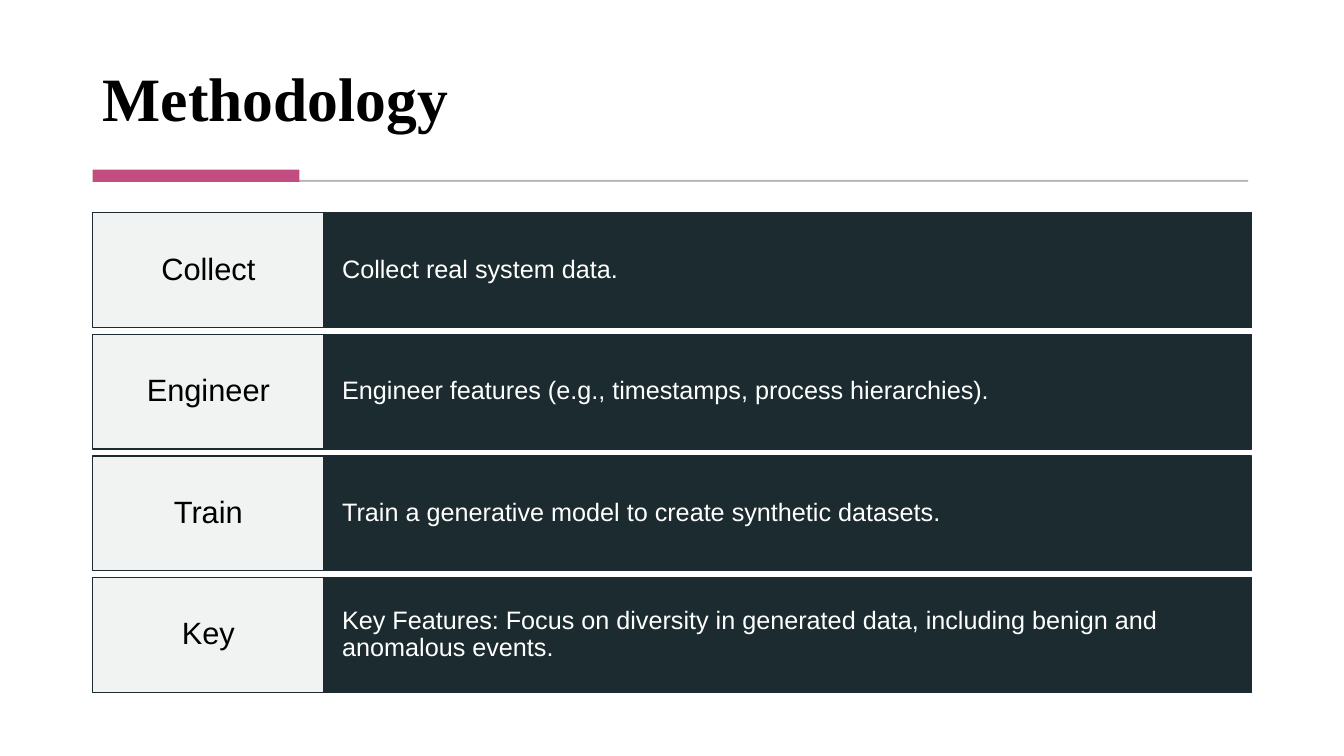
"""Build the Methodology slide: a title, an accent rule and four labelled steps."""
from lxml import etree
from pptx import Presentation
from pptx import util as u
from pptx.dml.color import RGBColor
from pptx.enum import shapes, text
from pptx.oxml.ns import qn

BLACK = RGBColor(0x00, 0x00, 0x00)
WHITE = RGBColor(0xFF, 0xFF, 0xFF)
GRAY = RGBColor(0x59, 0x59, 0x59)
PINK = RGBColor(0xC3, 0x4D, 0x80)
DARK = RGBColor(0x1B, 0x2B, 0x30)
LIGHT = RGBColor(0xF0, 0xF3, 0xF2)

LEFT = 66.24
LABEL_WIDTH = 165.2
DETAIL_WIDTH = 662.4
STEP_TOP = 151.92
STEP_HEIGHT = 82.08
STEP_PITCH = 86.85

STEPS = [
    ("Collect", "Collect real system data."),
    ("Engineer", "Engineer features (e.g., timestamps, process hierarchies)."),
    ("Train", "Train a generative model to create synthetic datasets."),
    ("Key", "Key Features: Focus on diversity in generated data, including benign and anomalous events."),
]
LABEL_FONT = {"name": "Arial", "size": u.Pt(22)}
DETAIL_FONT = {"name": "Arial", "size": u.Pt(18)}
TITLE_FONT = {"name": "Times New Roman", "size": u.Pt(44), "bold": True}

presentation = Presentation()
presentation.slide_width = u.Pt(960)
presentation.slide_height = u.Pt(540)
slide = presentation.slides.add_slide(presentation.slide_layouts[6])


def add_rectangle(left, top, width, height, fill, line=None, line_width=1):
    """Draw a flat rectangle, outlined only when a line colour is given."""
    shape = slide.shapes.add_shape(
        shapes.MSO_SHAPE.RECTANGLE, u.Pt(left), u.Pt(top), u.Pt(width), u.Pt(height))
    shape.shadow.inherit = False
    shape.fill.solid()
    shape.fill.fore_color.rgb = fill
    if line is None:
        shape.line.fill.background()
    else:
        shape.line.color.rgb = line
        shape.line.width = u.Pt(line_width)
    return shape


def write_text(shape, words, anchor, alignment, margins, color, font_values):
    """Put one formatted paragraph into a shape."""
    frame = shape.text_frame
    frame.word_wrap = True
    frame.vertical_anchor = anchor
    frame.margin_left = frame.margin_right = u.Pt(margins[0])
    frame.margin_top = frame.margin_bottom = u.Pt(margins[1])
    paragraph = frame.paragraphs[0]
    paragraph.alignment = alignment
    paragraph.line_spacing = 0.9
    run = paragraph.add_run()
    run.text = words
    run.font.color.rgb = color
    for name, value in font_values.items():
        setattr(run.font, name, value)


title = slide.shapes.add_textbox(u.Pt(LEFT), u.Pt(20.16), u.Pt(827.28), u.Pt(79.92))
write_text(title, "Methodology", text.MSO_ANCHOR.BOTTOM, text.PP_ALIGN.LEFT,
           (7.2, 3.6), BLACK, TITLE_FONT)

rule = add_rectangle(68.4, 128.88, 822.96, 0.72, GRAY, GRAY, 0.75)
for color_element in rule.element.spPr.iter(qn("a:srgbClr")):
    etree.SubElement(color_element, qn("a:alpha"), val="30000")
add_rectangle(LEFT, 121.2, 147.6, 8.64, PINK)

for index, (label, detail) in enumerate(STEPS):
    top = STEP_TOP + index * STEP_PITCH
    detail_box = add_rectangle(LEFT + LABEL_WIDTH, top, DETAIL_WIDTH, STEP_HEIGHT, DARK, DARK)
    write_text(detail_box, detail, text.MSO_ANCHOR.MIDDLE, text.PP_ALIGN.LEFT,
               (12.96, 20.88), WHITE, DETAIL_FONT)
    label_box = add_rectangle(LEFT, top, LABEL_WIDTH, STEP_HEIGHT, LIGHT, DARK)
    write_text(label_box, label, text.MSO_ANCHOR.MIDDLE, text.PP_ALIGN.CENTER,
               (8.64, 7.92), BLACK, LABEL_FONT)

presentation.save("out.pptx")
